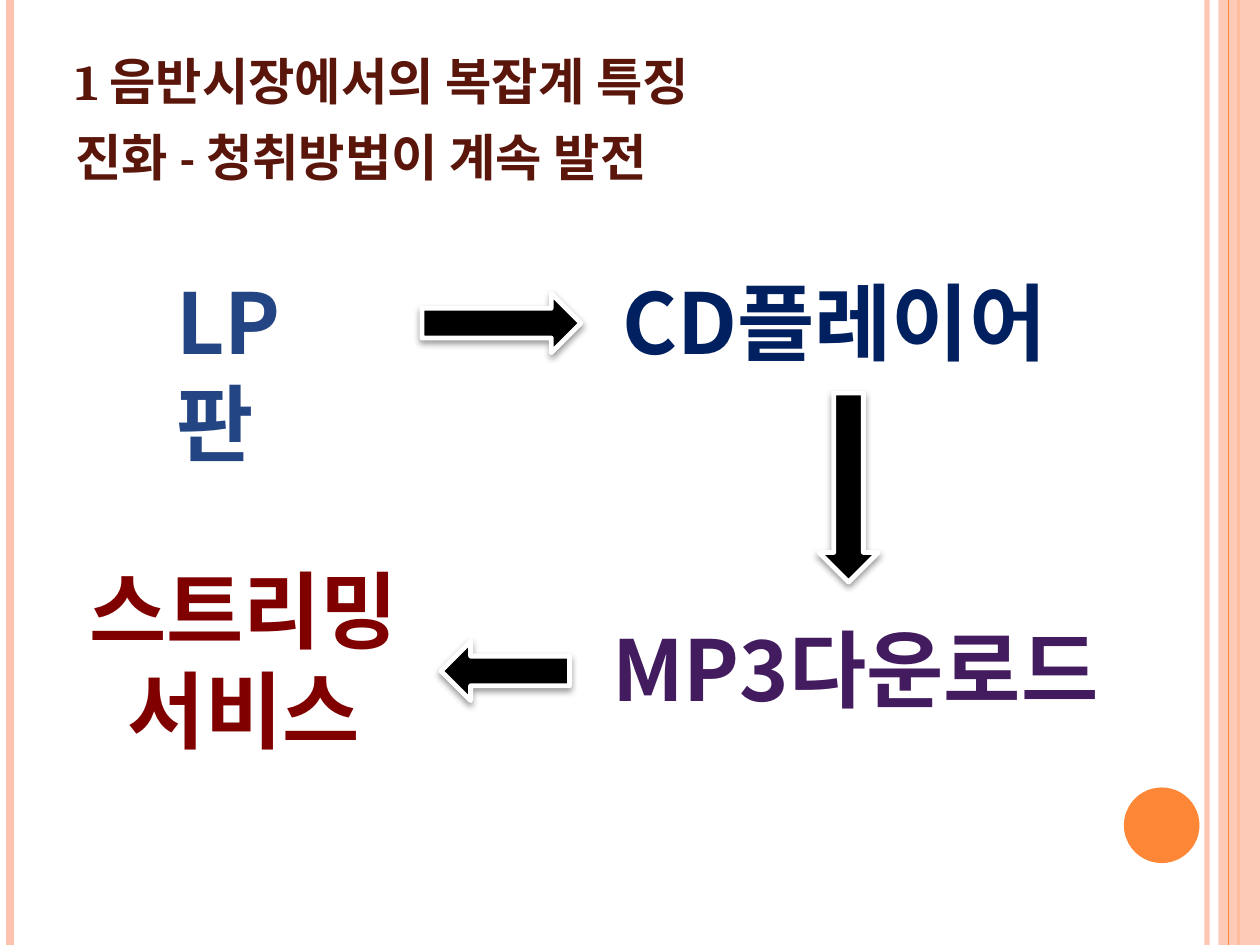
import lxml.etree
import pptx
import pptx.dml.color
import pptx.enum.shapes
import pptx.enum.text
import pptx.oxml.ns
import pptx.util

Inches, Pt = pptx.util.Inches, pptx.util.Pt
Shape = pptx.enum.shapes.MSO_SHAPE
Align = pptx.enum.text.PP_ALIGN
Anchor = pptx.enum.text.MSO_ANCHOR
AutoSize = pptx.enum.text.MSO_AUTO_SIZE
qn = pptx.oxml.ns.qn

THEME = {
    "peach": "FEC3AE", "orange": "FE8637", "title": "5A160B",
    "arrow": "000000", "outline": "FFFFFF",
    "title_font": "Cambria", "label_font": "Noto Sans CJK KR",
    "title_size": 36, "label_size": 48,
}
WIDTH, HEIGHT = 10, 7.5

# x, colour, line width, opacity in percent
STRIPES = [(9.58, "peach", 3, 93), (0.08, "peach", 4.5, 100), (9.83, "orange", 1.5, 100)]
FRONT_STRIPE = (9.75, "orange", 0.75, 100)
BAND = (9.67, 0, 0.33, HEIGHT)
DISC = (8.92, 6.25, 0.6, 0.6)

TITLE = "1 음반시장에서의 복잡계 특징\v진화 - 청취방법이 계속 발전"
TITLE_AREA = (0.5, 0.3, 8.17, 1.25)

# paragraphs, area, colour, alignment
STAGES = [
    (["LP판"], (1.3, 2.1, 1.58, 0.91), "244583", Align.LEFT),
    (["CD플레이어"], (4.84, 2.1, 3.89, 0.91), "002060", Align.LEFT),
    (["MP3다운로드"], (4.76, 4.85, 4.28, 0.91), "421C5E", Align.LEFT),
    (["스트리밍", "서비스"], (0.51, 4.38, 2.85, 1.72), "800000", Align.CENTER),
]
# preset, area, rotation
ARROWS = [
    (Shape.RIGHT_ARROW, (3.35, 2.33, 1.26, 0.47), 0),
    (Shape.DOWN_ARROW, (6.5, 3.12, 0.47, 1.5), 0),
    (Shape.RIGHT_ARROW, (3.5, 5.09, 1.02, 0.47), 180),
]


def rgb(value):
    return pptx.dml.color.RGBColor.from_string(value)


def set_opacity(shape, percent):
    color = next(shape._element.spPr.iter(qn("a:srgbClr")))
    lxml.etree.SubElement(color, qn("a:alpha"), val=str(percent * 1000))


def add_stripe(page, x, color, width, opacity):
    stripe = page.shapes.add_connector(
        pptx.enum.shapes.MSO_CONNECTOR.STRAIGHT, Inches(x), 0, Inches(x), Inches(HEIGHT))
    stripe.line.color.rgb = rgb(THEME[color])
    stripe.line.width = Pt(width)
    if opacity < 100:
        set_opacity(stripe, opacity)
    lxml.etree.SubElement(stripe._element.spPr, qn("a:effectLst"))


def add_filled(page, preset, area, color):
    shape = page.shapes.add_shape(preset, *map(Inches, area))
    shape.shadow.inherit = False
    shape.fill.solid()
    shape.fill.fore_color.rgb = rgb(color)
    shape.line.fill.background()
    return shape


def add_text(page, paragraphs, area, font_name, size, color, align=Align.LEFT):
    box = page.shapes.add_textbox(*map(Inches, area))
    frame = box.text_frame
    frame.word_wrap = True
    frame.text = "\n".join(paragraphs)
    for para in frame.paragraphs:
        para.alignment = align
        font = para.font
        font.name, font.size, font.bold = font_name, Pt(size), True
        font.color.rgb = rgb(color)
        lxml.etree.SubElement(font._element, qn("a:ea"), typeface=THEME["label_font"])
    return frame


def add_arrow(page, preset, area, rotation):
    arrow = add_filled(page, preset, area, THEME["arrow"])
    arrow.rotation = rotation
    arrow.line.color.rgb = rgb(THEME["outline"])
    arrow.line.width = Pt(2.75)
    effects = arrow._element.spPr.find(qn("a:effectLst"))
    shadow = lxml.etree.SubElement(
        effects, qn("a:outerShdw"), blurRad=str(Pt(4)), dist=str(Pt(2)),
        dir="5400000", rotWithShape="0")
    color = lxml.etree.SubElement(shadow, qn("a:srgbClr"), val=THEME["arrow"])
    lxml.etree.SubElement(color, qn("a:alpha"), val="40000")


def main():
    deck = pptx.Presentation()
    deck.slide_width, deck.slide_height = Inches(WIDTH), Inches(HEIGHT)
    page = deck.slides.add_slide(deck.slide_layouts[6])

    for stripe in STRIPES:
        add_stripe(page, *stripe)
    set_opacity(add_filled(page, Shape.RECTANGLE, BAND, THEME["peach"]), 87)
    add_stripe(page, *FRONT_STRIPE)
    add_filled(page, Shape.OVAL, DISC, THEME["orange"])

    title = add_text(page, [TITLE], TITLE_AREA, THEME["title_font"],
                     THEME["title_size"], THEME["title"])
    title.vertical_anchor = Anchor.BOTTOM
    for span in title.paragraphs[0].runs:
        span.font._element.set("cap", "small")

    for paragraphs, area, color, align in STAGES:
        label = add_text(page, paragraphs, area, THEME["label_font"],
                         THEME["label_size"], color, align)
        label.auto_size = AutoSize.SHAPE_TO_FIT_TEXT
    for arrow in ARROWS:
        add_arrow(page, *arrow)
    deck.save("out.pptx")


if __name__ == "__main__":
    main()
